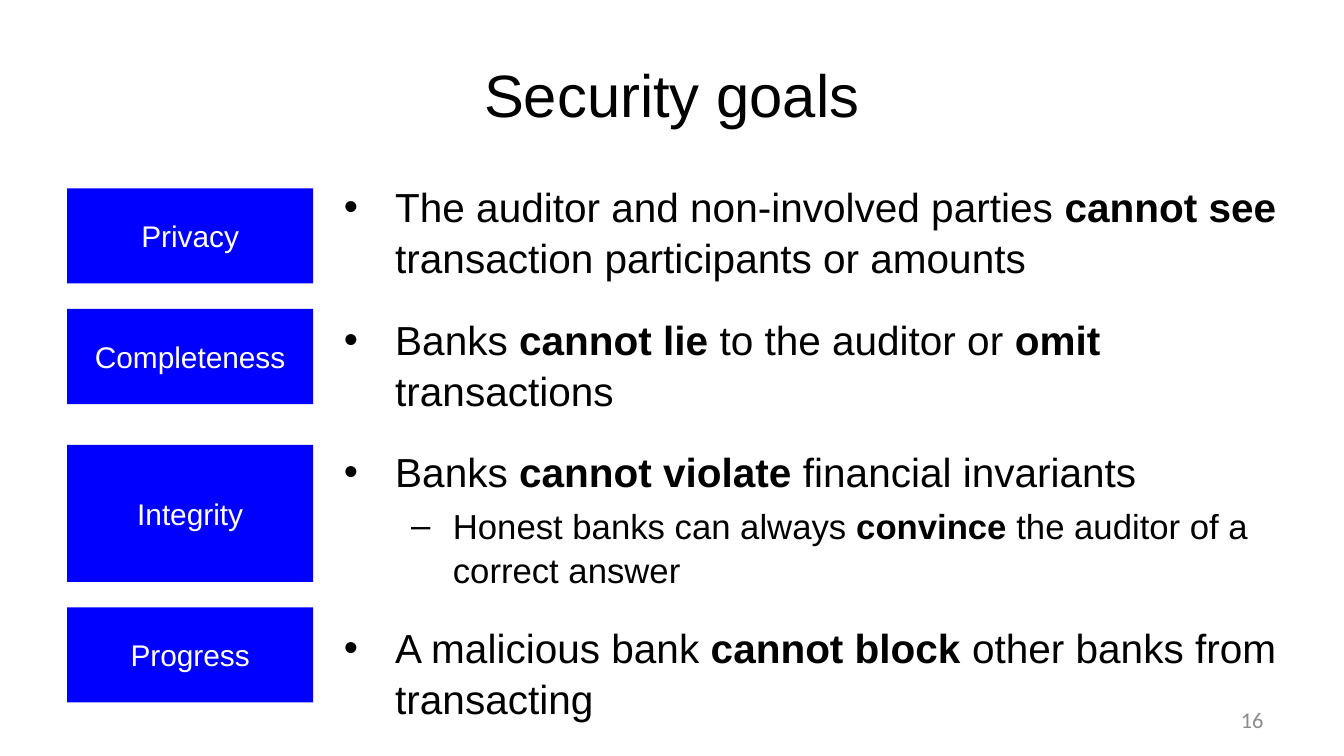
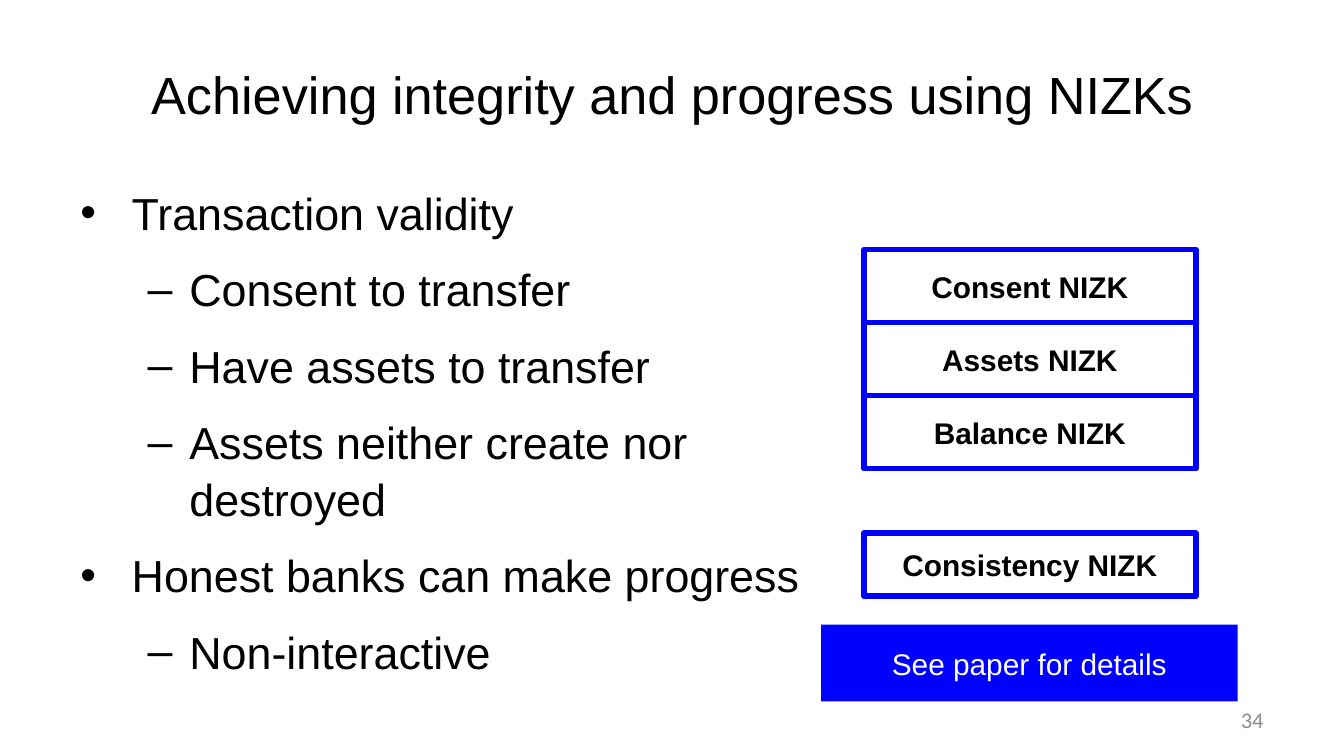
from dataclasses import dataclass

from lxml.etree import SubElement
from pptx import Presentation
from pptx.dml.color import RGBColor
from pptx.enum.shapes import MSO_SHAPE
from pptx.enum.text import MSO_ANCHOR, PP_ALIGN
from pptx.oxml.ns import qn
from pptx.shapes.base import BaseShape
from pptx.slide import Slide
from pptx.util import Cm, Pt

BLUE = RGBColor(0, 0, 255)
BLACK = RGBColor(0, 0, 0)
WHITE = RGBColor(255, 255, 255)
GRAY = RGBColor(0x8C, 0x8C, 0x8C)

# Bullet sign, left margin and hanging indent for each level
LEVELS = (("•", Cm(0.97), Cm(0.97)), ("–", Cm(2.06), Cm(0.79)))


@dataclass(frozen=True)
class Area:
    left: float
    top: float
    width: float
    height: float

    def lengths(self) -> tuple[Cm, ...]:
        return tuple(Cm(v) for v in (self.left, self.top, self.width, self.height))


@dataclass(frozen=True)
class Style:
    size: float
    color: RGBColor
    bold: bool = False
    name: str = "Arial"
    align: PP_ALIGN = PP_ALIGN.CENTER


@dataclass(frozen=True)
class Point:
    """A bullet; words between asterisks are bold."""
    text: str
    size: float
    after: float
    level: int = 0


@dataclass(frozen=True)
class Label:
    text: str
    area: Area
    solid: bool = True


TITLE = Area(1.27, 0.58, 22.86, 2.39)
NUMBER = Area(18.21, 13.23, 5.92, 0.76)

GOALS = [
    Label(text, Area(1.27, top, 4.65, height))
    for text, top, height in (
        ("Privacy", 3.56, 1.8),
        ("Completeness", 5.84, 1.8),
        ("Integrity", 8.41, 2.59),
        ("Progress", 11.48, 1.8),
    )
]
GOAL_POINTS = [
    Point("The auditor and non-involved parties *cannot see* "
          "transaction participants or amounts", 21.7, 12),
    Point("Banks *cannot lie* to the auditor or *omit* transactions", 21.7, 12),
    Point("Banks *cannot violate* financial invariants", 21.7, 0),
    Point("Honest banks can always *convince* the auditor of a correct answer",
          18.6, 12, 1),
    Point("A malicious bank *cannot block* other banks from transacting", 21.7, 12),
]

PROOFS = [
    Label(f"{name} NIZK", Area(16.33, 4.72 + 1.38 * row, 6.27, 1.38), False)
    for row, name in enumerate(("Consent", "Assets", "Balance"))
]
PROOFS.reverse()
PROOFS += [
    Label("Consistency NIZK", Area(16.33, 10.08, 6.27, 1.19), False),
    Label("See paper for details", Area(15.52, 11.81, 7.87, 1.45)),
]
PROOF_POINTS = [
    Point(text, 24, 6, level)
    for text, level in (
        ("Transaction validity", 0),
        ("Consent to transfer", 1),
        ("Have assets to transfer", 1),
        ("Assets neither create nor destroyed", 1),
        ("Honest banks can make progress", 0),
        ("Non-interactive", 1),
    )
]


def add_run(para, text: str, style: Style) -> None:
    run = para.add_run()
    run.text = text
    font = {"size": Pt(style.size), "name": style.name, "bold": style.bold}
    for key, value in font.items():
        setattr(run.font, key, value)
    run.font.color.rgb = style.color


def put_line(shape: BaseShape, text: str, style: Style) -> None:
    """Write one line, centred from top to bottom."""
    frame = shape.text_frame
    for key, value in {"word_wrap": True, "vertical_anchor": MSO_ANCHOR.MIDDLE}.items():
        setattr(frame, key, value)
    para = frame.paragraphs[0]
    para.alignment = style.align
    add_run(para, text, style)


def add_line(slide: Slide, area: Area, text: str, style: Style) -> None:
    put_line(slide.shapes.add_textbox(*area.lengths()), text, style)


def add_label(slide: Slide, label: Label) -> None:
    box = slide.shapes.add_shape(MSO_SHAPE.RECTANGLE, *label.area.lengths())
    box.shadow.inherit = False
    if label.solid:
        box.fill.solid()
        box.fill.fore_color.rgb = BLUE
        box.line.fill.background()
        style = Style(16, WHITE)
    else:
        box.fill.background()
        box.line.color.rgb = BLUE
        box.line.width = Pt(3)
        box.text_frame.margin_left = box.text_frame.margin_right = 0
        style = Style(16, BLACK, bold=True)
    put_line(box, label.text, style)


def add_points(slide: Slide, area: Area, points: list[Point]) -> None:
    frame = slide.shapes.add_textbox(*area.lengths()).text_frame
    frame.word_wrap = True
    for index, point in enumerate(points):
        para = frame.add_paragraph() if index else frame.paragraphs[0]
        layout = {
            "level": point.level,
            "line_spacing": 1.05,
            "space_before": Pt(0.2 * point.size),
            "space_after": Pt(point.after),
        }
        for key, value in layout.items():
            setattr(para, key, value)
        sign, margin, hang = LEVELS[point.level]
        props = para._p.get_or_add_pPr()
        for key, value in {"marL": margin, "indent": -hang}.items():
            props.set(key, str(int(value)))
        SubElement(props, qn("a:buFont"), typeface="Arial")
        SubElement(props, qn("a:buChar"), char=sign)
        for part, text in enumerate(point.text.split("*")):
            if text:
                add_run(para, text, Style(point.size, BLACK, bold=part % 2 == 1))


def add_page(deck, title: str, size: float, number: str, area: Area,
             points: list[Point], labels: list[Label]) -> None:
    slide = deck.slides.add_slide(deck.slide_layouts[6])
    add_line(slide, TITLE, title, Style(size, BLACK))
    add_points(slide, area, points)
    add_line(slide, NUMBER, number,
             Style(12, GRAY, name="Calibri", align=PP_ALIGN.RIGHT))
    for label in labels:
        add_label(slide, label)


def main() -> None:
    deck = Presentation()
    deck.slide_width, deck.slide_height = Cm(25.4), Cm(14.29)
    add_page(deck, "Security goals", 32, "16",
             Area(6.25, 3.28, 18.21, 10.46), GOAL_POINTS, GOALS)
    add_page(deck, "Achieving integrity and progress using NIZKs", 28, "34",
             Area(1.27, 3.33, 14.68, 10.44), PROOF_POINTS, PROOFS)
    deck.save("out.pptx")


if __name__ == "__main__":
    main()
